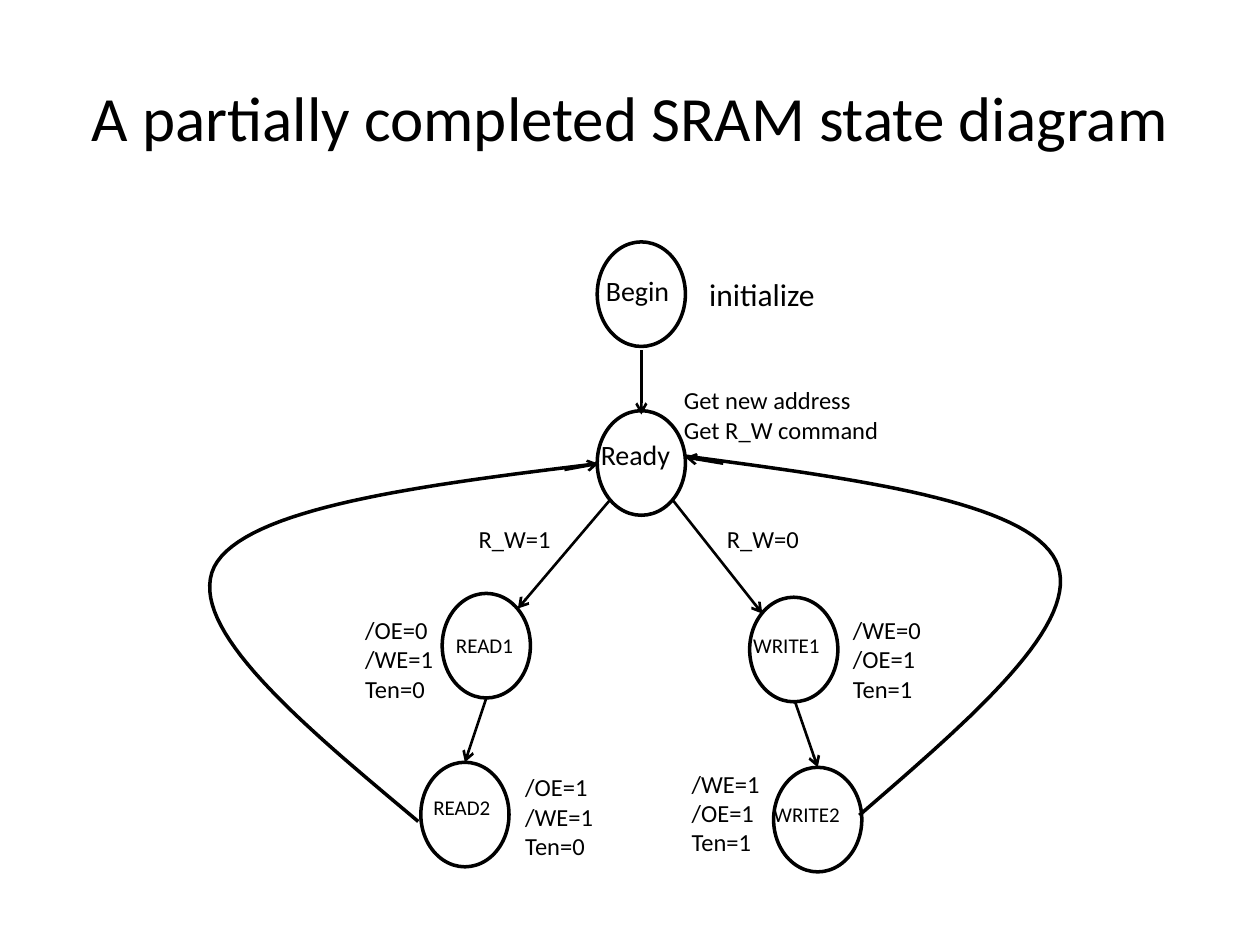
"""Build a slide with a partially completed SRAM state diagram."""
from pptx import Presentation
from pptx.dml.color import RGBColor
from pptx.enum.shapes import MSO_CONNECTOR, MSO_SHAPE
from pptx.enum.text import MSO_ANCHOR, MSO_AUTO_SIZE, PP_ALIGN
from pptx.oxml.ns import qn
from pptx.util import Inches, Pt
from lxml import etree

OVAL = MSO_SHAPE.OVAL
STRAIGHT = MSO_CONNECTOR.STRAIGHT
MIDDLE = MSO_ANCHOR.MIDDLE
GROW = MSO_AUTO_SIZE.SHAPE_TO_FIT_TEXT
CENTER = PP_ALIGN.CENTER
BLACK = "000000"
STEPS = 32


def color(value):
    return RGBColor.from_string(value)


def write(frame, lines, size):
    frame.text = "\n".join(lines)
    for para in frame.paragraphs:
        for name, value in {"name": "Calibri", "size": Pt(size)}.items():
            setattr(para.font, name, value)
        para.font.color.rgb = color(BLACK)


deck = Presentation()
deck.slide_width, deck.slide_height = Inches(10), Inches(7.5)
page = deck.slides.add_slide(deck.slide_layouts[5])

title = page.shapes.title
title_format = {"left": 0.5, "top": 0.3, "width": 9, "height": 1.25}
for name, value in title_format.items():
    setattr(title, name, Inches(value))
write(title.text_frame, ["A partially completed SRAM state diagram"], 36)
title.text_frame.vertical_anchor = MIDDLE
title.text_frame.paragraphs[0].alignment = CENTER

states = [(4.74, 1.92), (4.74, 3.26), (3.51, 4.71),
          (3.34, 6.05), (5.95, 4.74), (6.14, 6.09)]
for left, top in states:
    state = page.shapes.add_shape(
        OVAL, Inches(left), Inches(top), Inches(0.7), Inches(0.83))
    state.shadow.inherit = False
    state.fill.background()
    state.line.color.rgb = color(BLACK)
    state.line.width = Pt(2)

return_curves = [
    [(3.32, 6.52), (2.4, 5.75), (1.47, 4.98), (1.7, 4.5),
     (1.94, 4.03), (3.35, 3.85), (4.75, 3.68)],
    [(6.82, 6.47), (7.71, 5.7), (8.61, 4.93), (8.38, 4.45),
     (8.15, 3.98), (6.8, 3.8), (5.44, 3.62)],
]
for knots in return_curves:
    points = []
    for first in (0, 3):
        bezier = knots[first:first + 4]
        for step in range(1, STEPS + 1):
            t = step / STEPS
            weights = ((1 - t) ** 3, 3 * t * (1 - t) ** 2,
                       3 * t ** 2 * (1 - t), t ** 3)
            points.append(tuple(
                Inches(sum(w * knot[axis] for w, knot in zip(weights, bezier)))
                for axis in (0, 1)))
    start_x, start_y = knots[0]
    builder = page.shapes.build_freeform(Inches(start_x), Inches(start_y))
    builder.add_line_segments(points, close=False)
    curve = builder.convert_to_shape()
    curve.shadow.inherit = False
    curve.fill.background()
    curve.line.color.rgb = color(BLACK)
    curve.line.width = Pt(2)

arrows = [
    (4.84, 3.97, 4.11, 4.83), (5.34, 3.97, 6.05, 4.87),
    (3.86, 5.54, 3.69, 6.05), (6.31, 5.57, 6.49, 6.09),
    (5.09, 2.78, 5.09, 3.29), (4.48, 3.73, 4.75, 3.68),
    (5.74, 3.68, 5.44, 3.63),
]
for ends in arrows:
    arrow = page.shapes.add_connector(STRAIGHT, *map(Inches, ends))
    arrow.line.color.rgb = color(BLACK)
    arrow.line.width = Pt(1.5)
    etree.SubElement(arrow.line._get_or_add_ln(), qn("a:tailEnd"), type="arrow")
    etree.SubElement(arrow._element.spPr, qn("a:effectLst"))

labels = [
    (4.71, 2.12, 0.75, 0.46, 16, ["Begin"]),
    (4.67, 3.42, 0.8, 0.46, 16, ["Ready"]),
    (3.52, 4.97, 0.69, 0.38, 12, ["READ1"]),
    (3.34, 6.26, 0.69, 0.38, 12, ["READ2"]),
    (5.88, 4.97, 0.77, 0.38, 12, ["WRITE1"]),
    (6.04, 6.31, 0.77, 0.38, 12, ["WRITE2"]),
    (5.53, 2.13, 1.05, 0.4, 18, ["initialize"]),
    (5.33, 3.01, 1.76, 0.57, 14, ["Get new address", "Get R_W command"]),
    (3.7, 4.11, 0.78, 0.34, 14, ["R_W=1"]),
    (5.67, 4.11, 0.78, 0.34, 14, ["R_W=0"]),
    (2.8, 4.83, 0.75, 0.81, 14, ["/OE=0", "/WE=1", "Ten=0"]),
    (6.67, 4.83, 0.75, 0.81, 14, ["/WE=0", "/OE=1", "Ten=1"]),
    (4.07, 6.08, 0.75, 0.81, 14, ["/OE=1", "/WE=1", "Ten=0"]),
    (5.39, 6.05, 0.75, 0.81, 14, ["/WE=1", "/OE=1", "Ten=1"]),
]
for *bounds, size, lines in labels:
    box = page.shapes.add_textbox(*map(Inches, bounds))
    write(box.text_frame, lines, size)
    for name, value in {"word_wrap": False, "auto_size": GROW}.items():
        setattr(box.text_frame, name, value)

deck.save("out.pptx")
